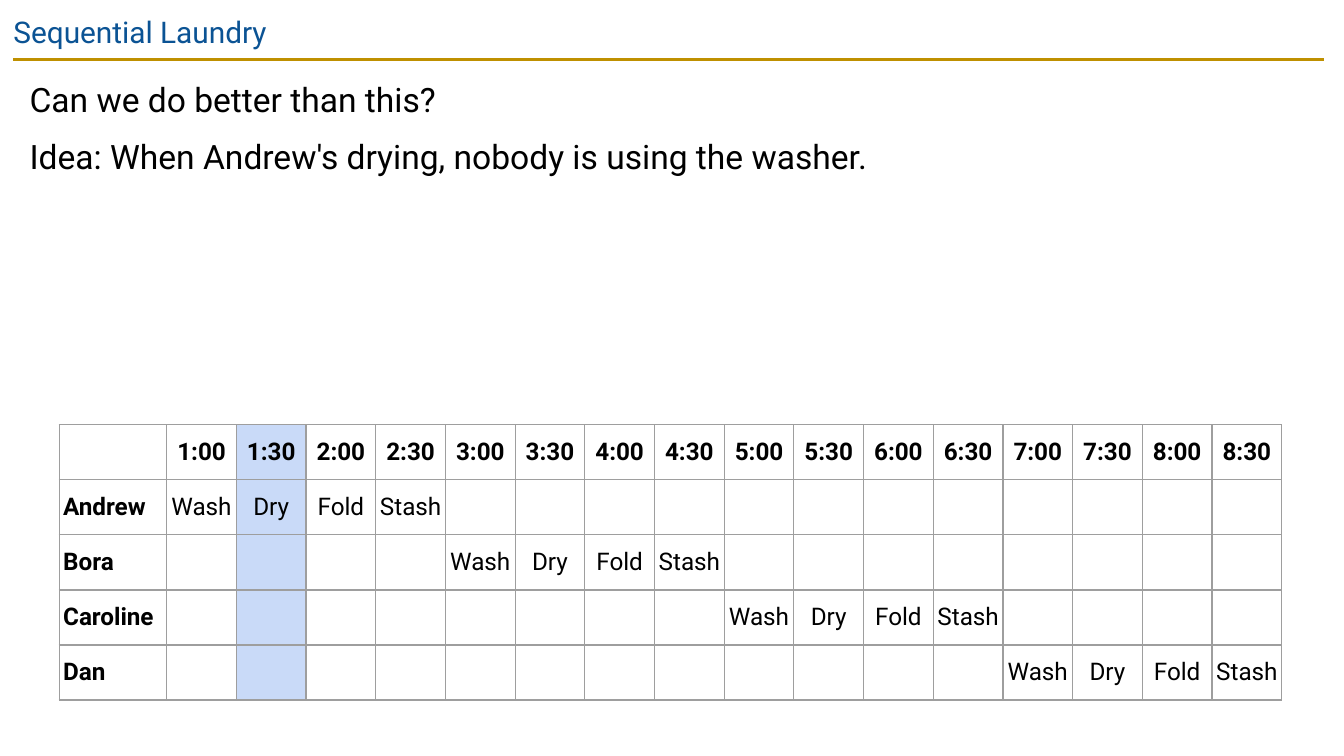
"""Build the Sequential Laundry slide with its timetable."""
from lxml.etree import SubElement
from pptx import Presentation
from pptx.dml.color import RGBColor
from pptx.enum.shapes import MSO_CONNECTOR as Link
from pptx.enum.text import MSO_ANCHOR as Anchor, MSO_AUTO_SIZE as Fit, PP_ALIGN as Align
from pptx.oxml.ns import qn
from pptx.util import Inches, Pt


def tint(hue):
    return RGBColor.from_string(hue)


def write(para, text, size, hue, bold=False):
    run = para.add_run()
    run.text = text
    run.font.name = "Roboto"
    run.font.size = Pt(size)
    run.font.bold = bold
    run.font.color.rgb = tint(hue)


deck = Presentation()
deck.slide_width = Inches(10)
deck.slide_height = Inches(10 * 9 / 16)
slide = deck.slides.add_slide(deck.slide_layouts[1])

rule = slide.shapes.add_connector(
    Link.STRAIGHT, Inches(0.1), Inches(0.44), Inches(9.85), Inches(0.44))
rule.line.color.rgb = tint("BF9000")
rule.line.width = Pt(1.5)
SubElement(rule._element.spPr, qn("a:effectLst"))

title, body = slide.shapes.title, slide.placeholders[1]
for box, place in ((title, (0, 0, 10, 0.43)), (body, (0.12, 0.44, 9.74, 2.13))):
    box.left, box.top, box.width, box.height = [Inches(n) for n in place]
    frame = box.text_frame
    frame.word_wrap = True
    frame.auto_size = Fit.NONE
    frame.vertical_anchor = Anchor.TOP
    frame.margin_left = frame.margin_right = Inches(0.1)
    frame.margin_top = frame.margin_bottom = Inches(0.1)

head = title.text_frame.paragraphs[0]
head.alignment = Align.LEFT
write(head, "Sequential Laundry", 16, "0B5394")

lines = ["Can we do better than this?",
         "Idea: When Andrew's drying, nobody is using the washer."]
for i, text in enumerate(lines):
    frame = body.text_frame
    para = frame.add_paragraph() if i else frame.paragraphs[0]
    props = para._p.get_or_add_pPr()
    props.set("marL", "0")
    props.set("indent", "0")
    SubElement(props, qn("a:buNone"))
    para.line_spacing = 1.15
    para.space_before = Pt(6 if i else 0)
    write(para, text, 18, "000000")

names = ["Andrew", "Bora", "Caroline", "Dan"]
steps = ["Wash", "Dry", "Fold", "Stash"]
times = [f"{1 + n // 2}:{n % 2 * 30:02}" for n in range(16)]
rows = [[""] + times]
for i, name in enumerate(names):
    rows.append([name] + [""] * 4 * i + steps + [""] * 4 * (3 - i))

full, wide, tall = 9.1, 0.8, 0.41
step = (full - wide) / len(times)
grid = slide.shapes.add_table(
    len(rows), len(rows[0]), Inches(0.44), Inches(3.16),
    Inches(full), Inches(tall * len(rows))).table
grid.first_row = grid.horz_banding = False
for i, col in enumerate(grid.columns):
    col.width = Inches(step if i else wide)
for row in grid.rows:
    row.height = Inches(tall)

for r, row in enumerate(rows):
    for c, text in enumerate(row):
        cell = grid.cell(r, c)
        cell.margin_left = cell.margin_right = Inches(0.03)
        cell.margin_top = cell.margin_bottom = Inches(0.03)
        cell.vertical_anchor = Anchor.MIDDLE
        props = cell._tc.get_or_add_tcPr()
        for side in ("lnL", "lnR", "lnT", "lnB"):
            edge = SubElement(props, qn(f"a:{side}"), w=str(Pt(0.75)))
            fill = SubElement(edge, qn("a:solidFill"))
            SubElement(fill, qn("a:srgbClr"), val="9E9E9E")
        if c == 2:
            cell.fill.solid()
            cell.fill.fore_color.rgb = tint("C9DAF8")
        else:
            cell.fill.background()
        if text:
            para = cell.text_frame.paragraphs[0]
            para.alignment = Align.CENTER if c else Align.LEFT
            write(para, text, 13, "000000", r == 0 or c == 0)

deck.save("out.pptx")
